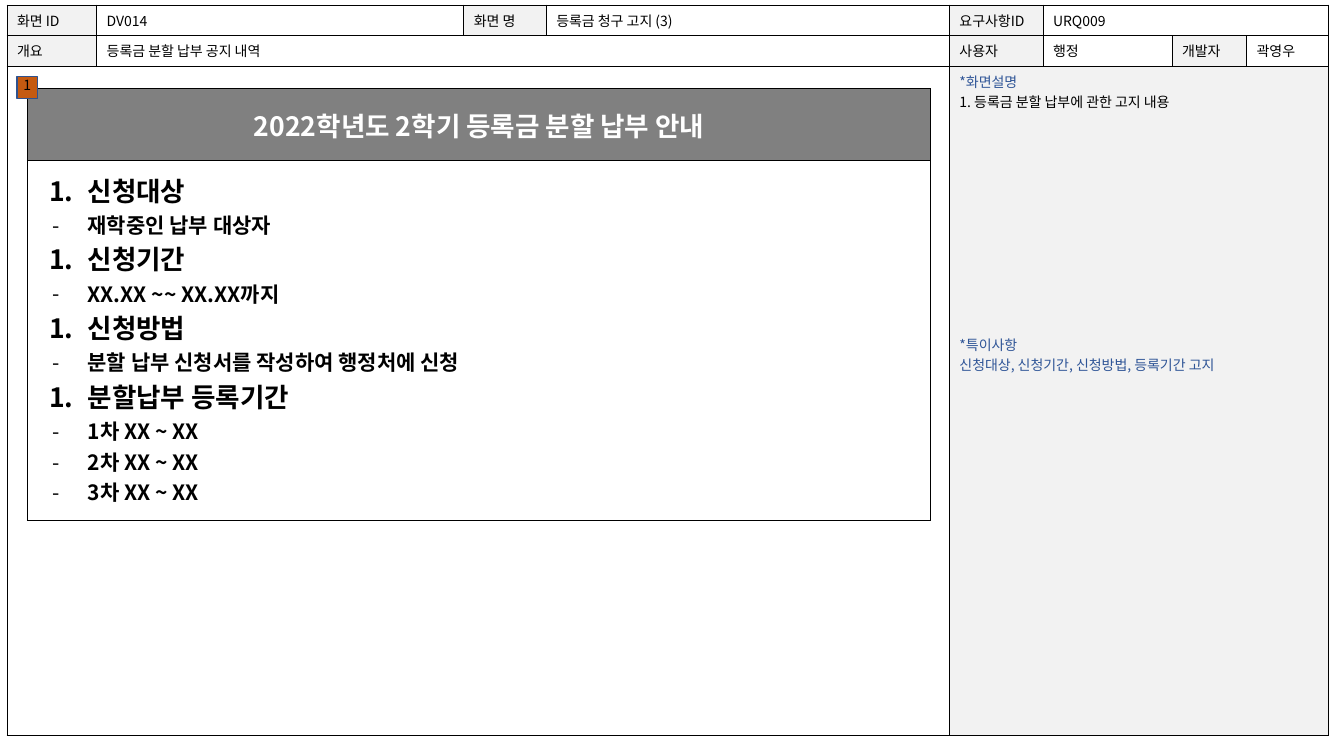
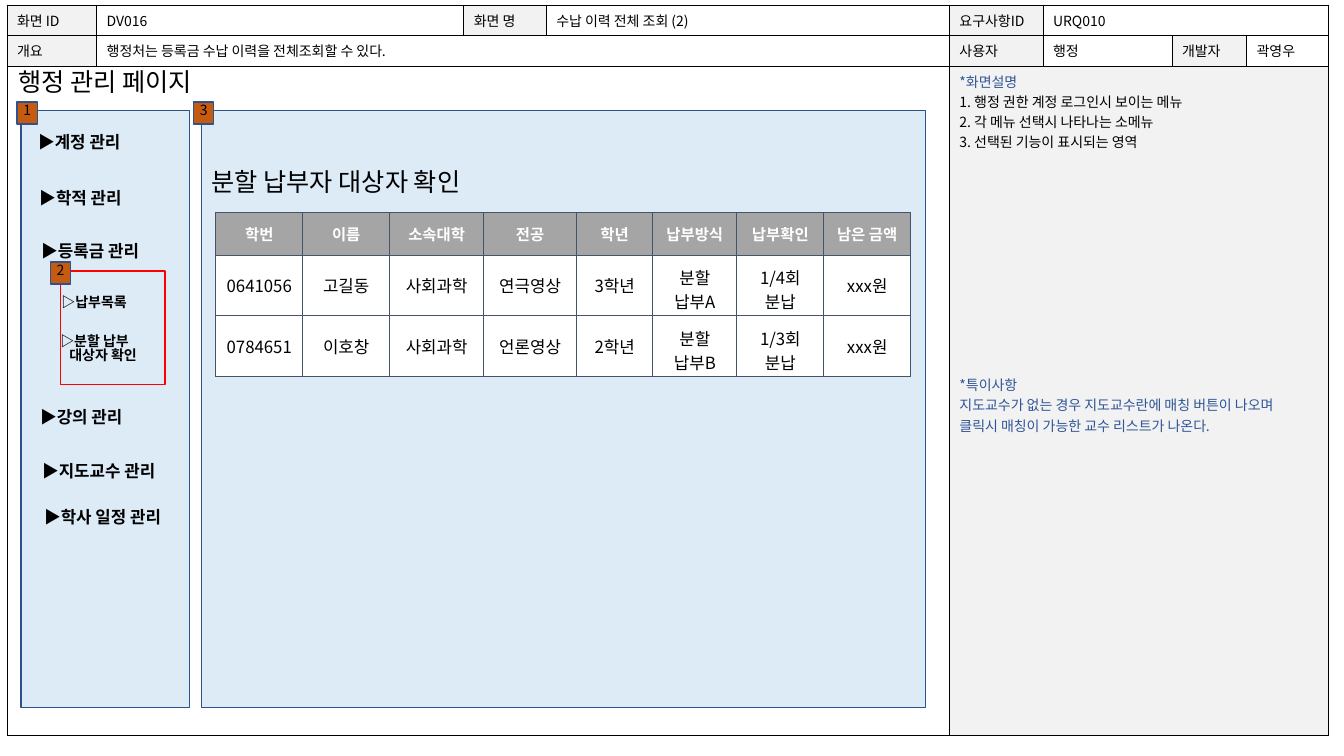
from dataclasses import dataclass
from typing import Optional

from lxml import etree
from pptx import Presentation
from pptx.dml.color import RGBColor
from pptx.enum.shapes import MSO_SHAPE
from pptx.enum.text import MSO_ANCHOR, PP_ALIGN
from pptx.oxml.ns import qn
from pptx.util import Cm, Pt

RECT = MSO_SHAPE.RECTANGLE
TOP, MIDDLE = MSO_ANCHOR.TOP, MSO_ANCHOR.MIDDLE
LEFT, CENTER = PP_ALIGN.LEFT, PP_ALIGN.CENTER

FONT = "Noto Sans CJK KR"
BLACK = RGBColor(0x00, 0x00, 0x00)
WHITE = RGBColor(0xFF, 0xFF, 0xFF)
PALE = RGBColor(0xF2, 0xF2, 0xF2)
GRAY = RGBColor(0x80, 0x80, 0x80)
SILVER = RGBColor(0xA5, 0xA5, 0xA5)
SLATE = RGBColor(0x44, 0x54, 0x6A)
SKY = RGBColor(0xDD, 0xEB, 0xF7)
BLUE = RGBColor(0x2F, 0x55, 0x97)
NAVY = RGBColor(0x2F, 0x52, 0x8F)
RUST = RGBColor(0xC5, 0x5A, 0x11)
RED = RGBColor(0xFF, 0x00, 0x00)

FORM_COLS = [2.26, 9.25, 2.08, 10.16, 2.36, 3.25, 1.88, 2.06]
FORM_ROWS = [0.76, 0.76, 16.87]
GRID_COLS = [2.19, 2.19, 2.37, 2.34, 1.92, 2.12, 2.19, 2.19]
GRID_ROWS = [1.07, 1.53, 1.53]
NOTE_GAP = 159


@dataclass(frozen=True)
class Line:
    text: str
    size: float = 10
    color: RGBColor = BLACK
    bold: bool = False
    align: PP_ALIGN = LEFT
    margin: float = 0
    indent: float = 0
    bullet: str = ""
    before: float = 0
    spacing: Optional[float] = None


@dataclass(frozen=True)
class Form:
    """Header fields and side notes of one screen sheet."""
    code: str
    name: str
    need: str
    brief: str
    guide: list[str]
    remarks: list[str]


@dataclass(frozen=True)
class Box:
    x: float
    y: float
    w: float
    h: float

    def place(self) -> tuple[Cm, Cm, Cm, Cm]:
        return Cm(self.x), Cm(self.y), Cm(self.w), Cm(self.h)


@dataclass(frozen=True)
class Item:
    """Menu entry with its top left corner."""
    x: float
    y: float
    text: str


FORMS = [
    Form("DV014", "등록금 청구 고지 (3)", "URQ009", "등록금 분할 납부 공지 내역",
         ["등록금 분할 납부에 관한 고지 내용"],
         ["신청대상, 신청기간, 신청방법, 등록기간 고지"]),
    Form("DV016", "수납 이력 전체 조회 (2)", "URQ010",
         "행정처는 등록금 수납 이력을 전체조회할 수 있다.",
         ["행정 권한 계정 로그인시 보이는 메뉴", "각 메뉴 선택시 나타나는 소메뉴",
          "선택된 기능이 표시되는 영역"],
         ["지도교수가 없는 경우 지도교수란에 매칭 버튼이 나오며",
          "클릭시 매칭이 가능한 교수 리스트가 나온다."]),
]
NOTICE = [
    ("신청대상", ["재학중인 납부 대상자"]),
    ("신청기간", ["XX.XX ~~ XX.XX까지"]),
    ("신청방법", ["분할 납부 신청서를 작성하여 행정처에 신청"]),
    ("분할납부 등록기간", [f"{turn}차 XX ~ XX" for turn in (1, 2, 3)]),
]
MENU = [
    Item(0.71, 3.2, "계정 관리"),
    Item(0.74, 4.6, "학적 관리"),
    Item(0.79, 5.94, "등록금 관리"),
    Item(0.76, 10.13, "강의 관리"),
    Item(0.81, 11.48, "지도교수 관리"),
    Item(0.86, 12.65, "학사 일정 관리"),
]
PAYERS = [
    ["학번", "이름", "소속대학", "전공", "학년", "납부방식", "납부확인", "남은 금액"],
    ["0641056", "고길동", "사회과학", "연극영상", "3학년", "분할 납부A", "1/4회 분납", "xxx원"],
    ["0784651", "이호창", "사회과학", "언론영상", "2학년", "분할 납부B", "1/3회 분납", "xxx원"],
]


def add_bullet(props, mark: str) -> None:
    """Put a black bullet before the run defaults; "1." numbers itself."""
    last = props.find(qn("a:defRPr"))
    tint = etree.Element(qn("a:buClr"))
    etree.SubElement(tint, qn("a:srgbClr"), val=str(BLACK))
    face = etree.Element(qn("a:buFont"), typeface=FONT)
    if mark == "1.":
        sign = etree.Element(qn("a:buAutoNum"), type="arabicPeriod")
    else:
        sign = etree.Element(qn("a:buChar"), char=mark)
    for node in (tint, face, sign):
        last.addprevious(node)


def write(frame, lines: list[Line]) -> None:
    for i, line in enumerate(lines):
        para = frame.paragraphs[0] if i == 0 else frame.add_paragraph()
        para.text = line.text
        para.alignment = line.align
        para.line_spacing = line.spacing
        if line.before:
            para.space_before = Pt(line.before)
        font = para.font
        font.size, font.bold, font.name = Pt(line.size), line.bold, FONT
        font.color.rgb = line.color
        props = para._p.get_or_add_pPr()
        etree.SubElement(props.find(qn("a:defRPr")), qn("a:ea"), typeface=FONT)
        if line.margin:
            props.set("marL", str(Cm(line.margin)))
            props.set("indent", str(Cm(line.indent)))
        if line.bullet:
            add_bullet(props, line.bullet)


def set_frame(frame, side: float, edge: float, anchor=TOP) -> None:
    frame.word_wrap = True
    frame.vertical_anchor = anchor
    frame.margin_left = frame.margin_right = Cm(side)
    frame.margin_top = frame.margin_bottom = Cm(edge)


def add_text(slide, box: Box, lines: list[Line], side=0.25, edge=0.13) -> None:
    frame = slide.shapes.add_textbox(*box.place()).text_frame
    set_frame(frame, side, edge)
    write(frame, lines)


def add_rect(slide, box: Box, fill: Optional[RGBColor], line: RGBColor,
             width: float = 1):
    rect = slide.shapes.add_shape(RECT, *box.place())
    rect.shadow.inherit = False
    if fill is None:
        rect.fill.background()
    else:
        rect.fill.solid()
        rect.fill.fore_color.rgb = fill
    rect.line.color.rgb = line
    rect.line.width = Pt(width)
    return rect


def add_badge(slide, x: float, y: float, text: str) -> None:
    frame = add_rect(slide, Box(x, y, 0.51, 0.56), RUST, NAVY).text_frame
    set_frame(frame, 0, 0)
    write(frame, [Line(text, align=CENTER)])


def set_edges(cell, color: RGBColor) -> None:
    props = cell._tc.get_or_add_tcPr()
    for side in ("lnL", "lnR", "lnT", "lnB"):
        edge = etree.SubElement(props, qn(f"a:{side}"), w=str(Pt(0.75)))
        fill = etree.SubElement(edge, qn("a:solidFill"))
        etree.SubElement(fill, qn("a:srgbClr"), val=str(color))


def add_table(slide, x: float, y: float, cols: list[float], rows: list[float],
              edge: RGBColor):
    box = Box(x, y, sum(cols), sum(rows))
    table = slide.shapes.add_table(len(rows), len(cols), *box.place()).table
    table.first_row = table.horz_banding = False
    for col, width in zip(table.columns, cols):
        col.width = Cm(width)
    for row, height in zip(table.rows, rows):
        row.height = Cm(height)
    for cell in table.iter_cells():
        set_edges(cell, edge)
        cell.fill.solid()
        cell.fill.fore_color.rgb = WHITE
    return table


def fill_cell(cell, lines: list[Line], fill: RGBColor = WHITE,
              pad: float = 0.25, anchor=MIDDLE) -> None:
    cell.fill.fore_color.rgb = fill
    cell.margin_left = cell.margin_right = Cm(0.25)
    cell.margin_top = cell.margin_bottom = Cm(pad)
    cell.vertical_anchor = anchor
    write(cell.text_frame, lines)


def add_form(slide, form: Form) -> None:
    table = add_table(slide, 0.18, 0.13, FORM_COLS, FORM_ROWS, BLACK)
    for row, start, end in ((0, 5, 7), (1, 1, 3), (2, 0, 3), (2, 4, 7)):
        table.cell(row, start).merge(table.cell(row, end))
    fields = [
        (0, 0, "화면 ID", form.code), (0, 2, "화면 명", form.name),
        (0, 4, "요구사항ID", form.need), (1, 0, "개요", form.brief),
        (1, 4, "사용자", "행정"), (1, 6, "개발자", "곽영우"),
    ]
    for row, col, label, value in fields:
        fill_cell(table.cell(row, col), [Line(label)], PALE, 0.13, TOP)
        fill_cell(table.cell(row, col + 1), [Line(value)], WHITE, 0.13, TOP)
    notes = [Line("*화면설명", color=BLUE)]
    notes += [Line(f"{i}. {text}", margin=0.64, indent=-0.64)
              for i, text in enumerate(form.guide, 1)]
    notes.append(Line("*특이사항", color=BLUE, before=NOTE_GAP))
    notes += [Line(text, color=BLUE) for text in form.remarks]
    fill_cell(table.cell(2, 4), notes, PALE, 0.13, TOP)


def draw_notice(deck) -> None:
    slide = deck.slides.add_slide(deck.slide_layouts[6])
    add_form(slide, FORMS[0])
    table = add_table(slide, 0.69, 2.24, [22.77], [1.8, 9.07], BLACK)
    head = Line("2022학년도 2학기 등록금 분할 납부 안내", 19, WHITE, True, CENTER)
    fill_cell(table.cell(0, 0), [head], GRAY)
    lines = []
    for topic, points in NOTICE:
        lines.append(Line(topic, 19, bold=True, margin=1.27, indent=-0.97,
                          bullet="1."))
        lines += [Line(point, 15, bold=True, margin=1.27, indent=-0.89,
                       bullet="-") for point in points]
    fill_cell(table.cell(1, 0), lines, anchor=TOP)
    add_badge(slide, 0.43, 1.93, "1")


def draw_payers(deck) -> None:
    slide = deck.slides.add_slide(deck.slide_layouts[5])
    add_form(slide, FORMS[1])
    add_rect(slide, Box(5.08, 2.79, 18.24, 15.04), SKY, NAVY)
    add_rect(slide, Box(0.53, 2.79, 4.24, 15.04), SKY, NAVY)
    for item in MENU:
        add_text(slide, Box(item.x, item.y, 5.4, 0.76),
                 [Line(f"▶{item.text}", 12, bold=True)])

    title = slide.shapes.title
    title.left, title.top, title.width, title.height = Box(
        0.46, 1.75, 10.36, 1.04).place()
    set_frame(title.text_frame, 0, 0)
    write(title.text_frame, [Line("행정 관리 페이지", 18, spacing=0.9)])
    title.element.getparent().append(title.element)

    add_badge(slide, 0.43, 2.57, "1")
    add_badge(slide, 4.88, 2.57, "3")
    add_text(slide, Box(1.3, 7.26, 4.24, 0.69), [Line("▷납부목록", bold=True)])
    add_text(slide, Box(1.27, 8.31, 4.24, 1.12), [
        Line("▷분할 납부", bold=True, spacing=0.85),
        Line("대상자 확인", bold=True, margin=0.23, spacing=0.85)])
    add_rect(slide, Box(1.52, 6.83, 2.64, 2.87), None, RED, 0.75)
    add_badge(slide, 1.27, 6.6, "2")

    table = add_table(slide, 5.44, 5.36, GRID_COLS, GRID_ROWS, SLATE)
    for r, texts in enumerate(PAYERS):
        for c, text in enumerate(texts):
            if r == 0:
                line, fill = Line(text, 11, WHITE, True, CENTER), SILVER
            else:
                line, fill = Line(text, 12, align=CENTER), WHITE
            fill_cell(table.cell(r, c), [line], fill)
    add_text(slide, Box(5.33, 4.29, 10.36, 1.04),
             [Line("분할 납부자 대상자 확인", 18, spacing=0.9)], 0, 0)


def main() -> None:
    deck = Presentation()
    deck.slide_width, deck.slide_height = Cm(33.87), Cm(19.05)
    draw_notice(deck)
    draw_payers(deck)
    deck.save("out.pptx")


if __name__ == "__main__":
    main()
